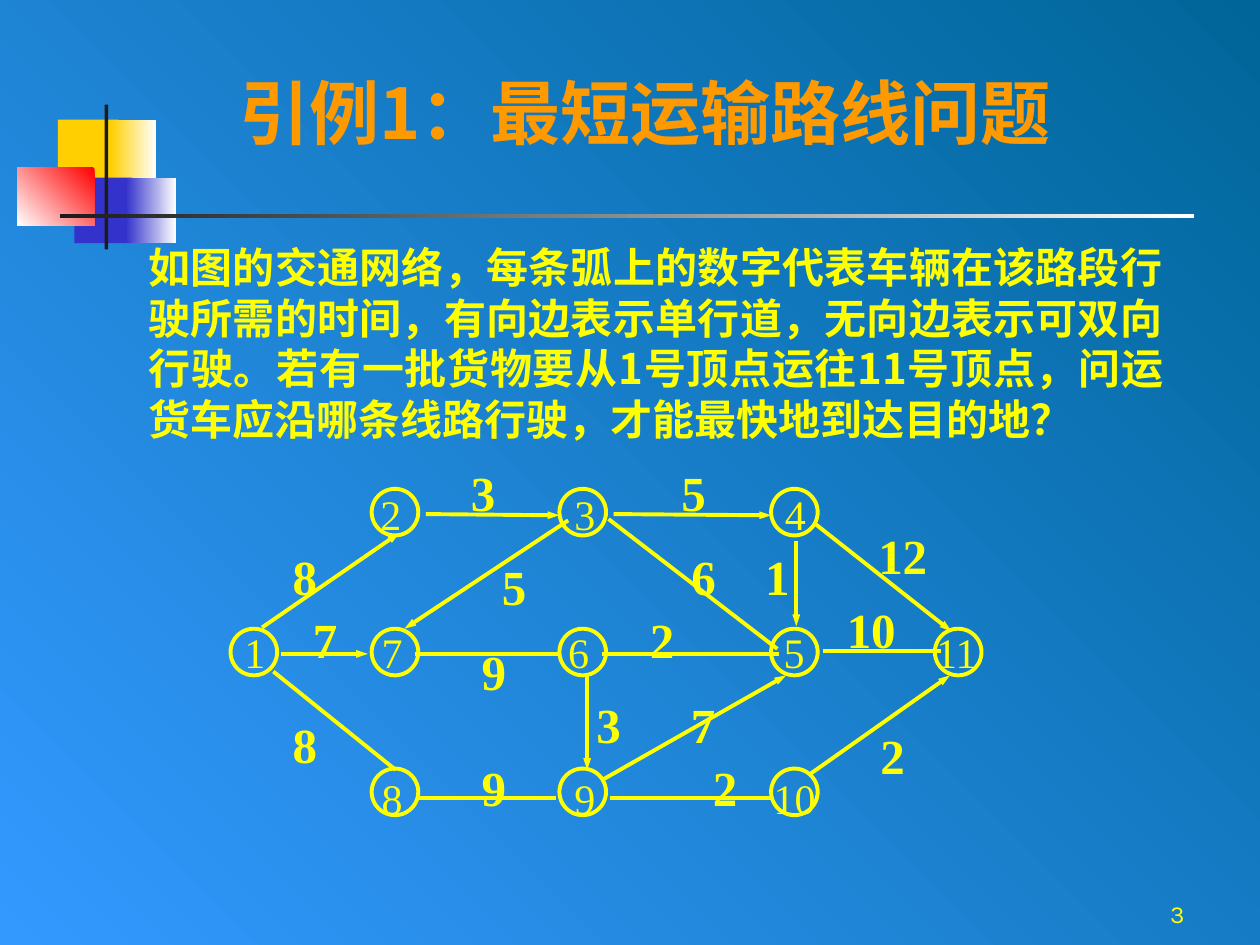
from lxml import etree
from pptx import Presentation
from pptx import util as u
from pptx.dml.color import RGBColor
from pptx.enum import shapes, text
from pptx.oxml import ns

YELLOW = RGBColor(0xFF, 0xFF, 0x00)
ORANGE = RGBColor(0xFF, 0x99, 0x00)
GOLD = RGBColor(0xFF, 0xCF, 0x01)
INDIGO = RGBColor(0x33, 0x33, 0xCC)
RED = RGBColor(0xFF, 0x00, 0x00)
BLACK = RGBColor(0x1C, 0x1C, 0x1C)
WHITE = RGBColor(0xFF, 0xFF, 0xFF)
TEAL = RGBColor(0x00, 0x66, 0x99)
BLUE = RGBColor(0x33, 0x99, 0xFF)

SERIF, SANS, NUMBER = "Times New Roman", "Noto Sans CJK SC", "Karla"
LEFTWARD, DOWN_LEFT = 180, 225
ALIGN, ANCHOR = text.PP_ALIGN, text.MSO_ANCHOR
COLUMNS, ROWS = 10, 7.5

# left, top, width, height, colours, gradient angle
ORNAMENTS = [
    (0.46, 0.95, 0.48, 0.52, [GOLD], None),
    (0.88, 0.95, 0.36, 0.52, [WHITE, GOLD], LEFTWARD),
    (0.59, 1.41, 0.46, 0.52, [INDIGO], None),
    (1.0, 1.41, 0.4, 0.52, [WHITE, INDIGO], LEFTWARD),
    (0.14, 1.33, 0.61, 0.46, [RED, WHITE], DOWN_LEFT),
    (0.83, 0.83, 0.03, 1.15, [BLACK], None),
    (0.48, 1.7, 9, 0.03, [WHITE, BLACK], LEFTWARD),
]

TITLE = [("引例1：", SANS), ("最短运输路线问题", SERIF)]
PROBLEM = [
    ("如图的交通网络，每条弧上的数字代表车辆在该路段行驶所需的时间，"
     "有向边表示单行道，无向边表示可双向行驶。若有一批货物要从", SERIF),
    ("1", SANS),
    ("号顶点运往", SERIF),
    ("11", SANS),
    ("号顶点，问运货车应沿哪条线路行驶，才能最快地到达目的地？", SERIF),
]

NODE_SIZE = 0.37
NODE_LEFTS = [1.83, 2.95, 4.44, 6.12, 7.42]
NODE_TOPS = [3.88, 4.99, 6.1]
NUMBER_RISE = [0.05, 0.07, 0.02]
# number: column, row, indent of the number from the circle's left
NODES = {
    1: (0, 1, 0.1), 2: (1, 0, 0.06), 3: (2, 0, 0.11), 4: (3, 0, 0.1),
    5: (3, 1, 0.09), 6: (2, 1, 0.06), 7: (1, 1, 0.07), 8: (1, 2, 0.07),
    9: (2, 2, 0.11), 10: (3, 2, 0.01), 11: (4, 1, 0),
}

# start, end, one-way, travel time, left, top and width of its label
ROADS = [
    ((2.08, 4.98), (3.17, 4.23), True, 8, 2.17, 4.25, 0.5),
    ((2.23, 5.19), (2.92, 5.19), True, 7, 2.33, 4.75, 0.5),
    ((2.17, 5.33), (3.14, 6.11), False, 8, 2.17, 5.58, 0.5),
    ((3.38, 4.08), (4.44, 4.09), True, 3, 3.5, 3.58, 0.67),
    ((4.87, 4.08), (6.12, 4.09), True, 5, 5.17, 3.58, 0.67),
    ((4.51, 4.13), (3.21, 4.99), True, 5, 3.83, 4.33, 0.5),
    ((6.17, 5.15), (4.83, 4.12), False, 6, 5.25, 4.25, 0.67),
    ((6.32, 4.29), (6.32, 4.97), True, 1, 5.92, 4.25, 0.5),
    ((6.46, 4.15), (7.55, 5.01), True, 12, 6.83, 4.08, 0.67),
    ((3.29, 5.19), (4.44, 5.19), False, 9, 3.67, 5, 0.5),
    ((4.78, 5.19), (6.18, 5.19), False, 2, 4.92, 4.75, 0.67),
    ((6.53, 5.17), (7.47, 5.17), False, 10, 6.58, 4.67, 0.67),
    ((4.66, 5.36), (4.66, 6.11), True, 3, 4.58, 5.42, 0.5),
    ((4.78, 6.19), (6.24, 5.36), True, 7, 5.33, 5.42, 0.5),
    ((3.32, 6.33), (4.41, 6.33), False, 9, 3.67, 5.92, 0.5),
    ((4.84, 6.33), (6.12, 6.33), False, 2, 5.42, 5.92, 0.67),
    ((6.42, 6.15), (7.54, 5.36), True, 2, 6.75, 5.67, 0.67),
]


def set_all(target, values):
    for name, value in values.items():
        setattr(target, name, value)


class Painter:
    """Places elements on a grid of 10 columns by 7.5 rows."""

    line_width = u.Pt(2.25)

    def __init__(self, deck):
        self.column = deck.slide_width / COLUMNS
        self.row = deck.slide_height / ROWS
        self.page = deck.slides.add_slide(deck.slide_layouts[5])

    def area(self, left, top, width, height):
        return (round(left * self.column), round(top * self.row),
                round(width * self.column), round(height * self.row))

    def paint(self, fill, colors, angle=None):
        if angle is None:
            fill.solid()
            fill.fore_color.rgb = colors[0]
            return
        fill.gradient()
        fill.gradient_angle = angle
        for stop, color in zip(fill.gradient_stops, colors):
            stop.color.rgb = color

    def block(self, area, colors, angle):
        block = self.page.shapes.add_shape(shapes.MSO_SHAPE.RECTANGLE, *self.area(*area))
        block.shadow.inherit = False
        block.line.fill.background()
        self.paint(block.fill, colors, angle)

    def circle(self, left, top, size):
        circle = self.page.shapes.add_shape(
            shapes.MSO_SHAPE.OVAL, *self.area(left, top, size, size))
        circle.shadow.inherit = False
        circle.fill.background()
        circle.line.color.rgb = YELLOW
        circle.line.width = self.line_width

    def road(self, start, end, one_way):
        road = self.page.shapes.add_connector(
            shapes.MSO_CONNECTOR.STRAIGHT, *self.area(*start, *end))
        road.line.color.rgb = YELLOW
        road.line.width = self.line_width
        if one_way:
            etree.SubElement(road.line._ln, ns.qn("a:tailEnd"),
                             type="triangle", w="sm", len="med")
        etree.SubElement(road._element.spPr, ns.qn("a:effectLst"))

    def fill_frame(self, frame, spans, size, align, bold=False, color=YELLOW,
                   anchor=ANCHOR.TOP, side=0.1, top=0.09, bottom=0.05, spacing=None):
        set_all(frame, {
            "word_wrap": True, "auto_size": text.MSO_AUTO_SIZE.NONE,
            "vertical_anchor": anchor,
            "margin_left": u.Inches(side), "margin_right": u.Inches(side),
            "margin_top": u.Inches(top), "margin_bottom": u.Inches(bottom),
        })
        para = frame.paragraphs[0]
        set_all(para, {"alignment": align, "line_spacing": spacing})
        for words, font in spans:
            span = para.add_run()
            span.text = words
            set_all(span.font, {"name": font, "size": u.Pt(size), "bold": bold})
            span.font.color.rgb = color
            etree.SubElement(span.font._element, ns.qn("a:ea"), typeface=SANS)

    def title(self, area, spans, **style):
        title = self.page.shapes.title
        set_all(title, dict(zip(("left", "top", "width", "height"), self.area(*area))))
        self.fill_frame(title.text_frame, spans, **style)

    def words(self, area, spans, **style):
        box = self.page.shapes.add_textbox(*self.area(*area))
        self.fill_frame(box.text_frame, spans, **style)


def main():
    deck = Presentation()
    deck.slide_width, deck.slide_height = u.Inches(10), u.Inches(7.5)
    painter = Painter(deck)
    painter.paint(painter.page.background.fill, [TEAL, BLUE], DOWN_LEFT)
    for *area, colors, angle in ORNAMENTS:
        painter.block(area, colors, angle)

    painter.title((1.58, 0.5, 7.08, 0.77), TITLE, size=40, bold=True, color=ORANGE,
                  align=ALIGN.CENTER, anchor=ANCHOR.MIDDLE, top=0.05)
    painter.words((1.08, 1.83, 8.25, 1.7), PROBLEM, size=24, bold=True,
                  align=ALIGN.JUSTIFY, spacing=u.Pt(28.8))

    for number, (column, row, indent) in NODES.items():
        left, top = NODE_LEFTS[column], NODE_TOPS[row]
        painter.circle(left, top, NODE_SIZE)
        painter.words((left + indent, top - NUMBER_RISE[row], 0.56, 0.56),
                      [(str(number), SERIF)], size=24, align=ALIGN.JUSTIFY,
                      side=0.01, top=0.05, bottom=0.01)
    for start, end, one_way, time, left, top, width in ROADS:
        painter.road(start, end, one_way)
        painter.words((left, top, width, 0.57), [(str(time), SERIF)],
                      size=28, bold=True, align=ALIGN.CENTER)

    painter.words((7.42, 6.92, 2.08, 0.5), [("3", NUMBER)], size=14,
                  align=ALIGN.RIGHT, anchor=ANCHOR.BOTTOM)
    deck.save("out.pptx")


if __name__ == "__main__":
    main()
